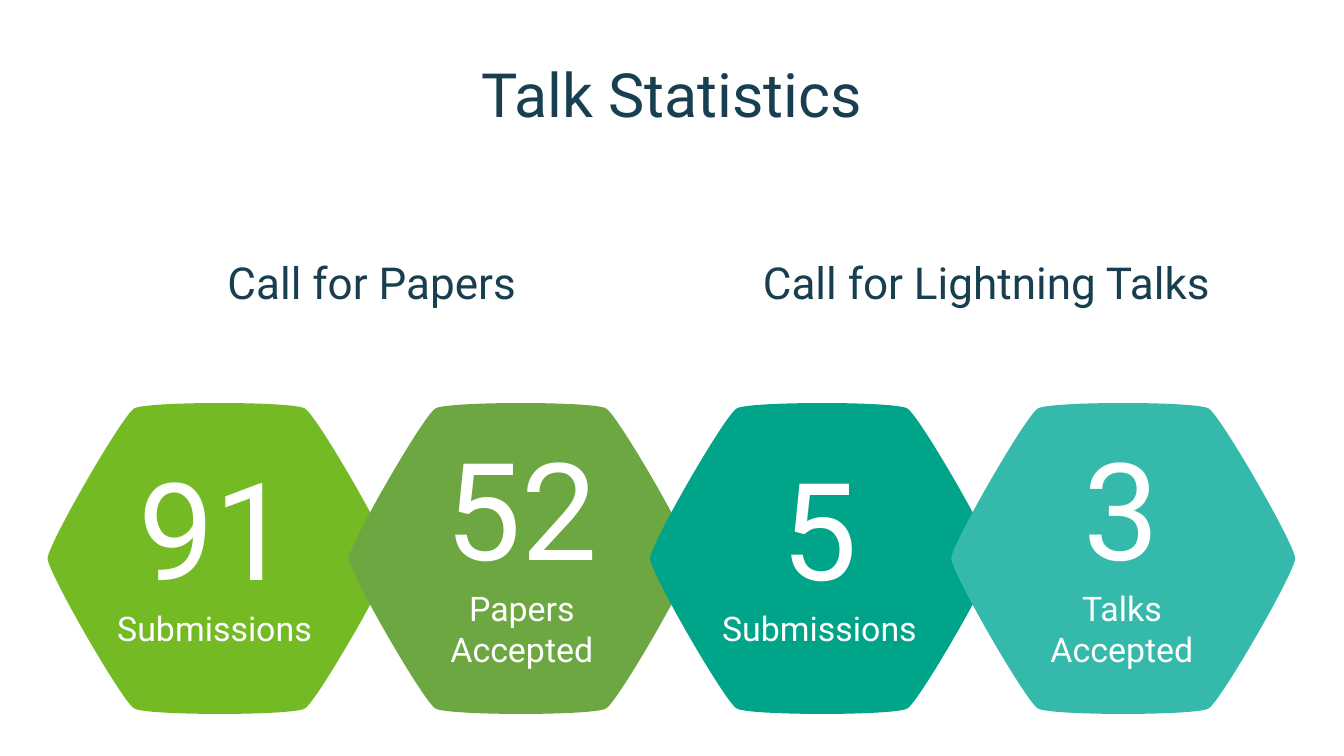
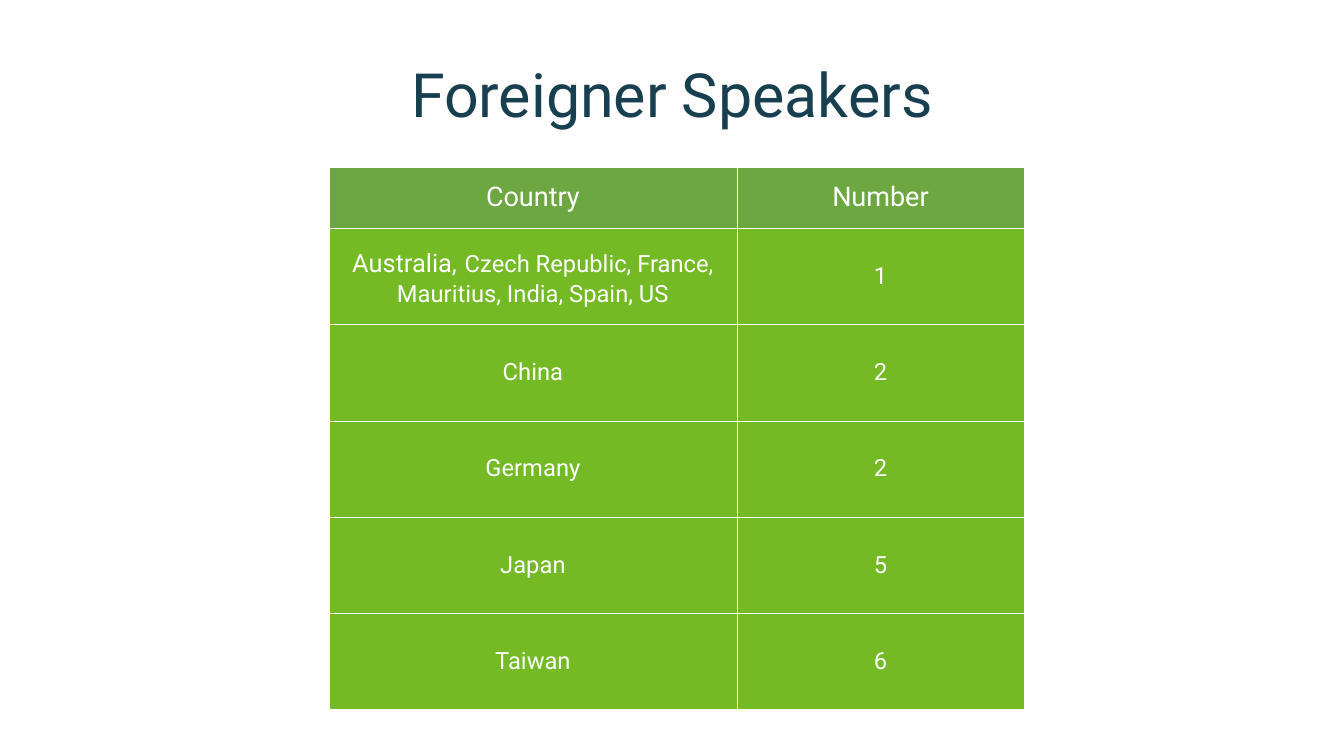
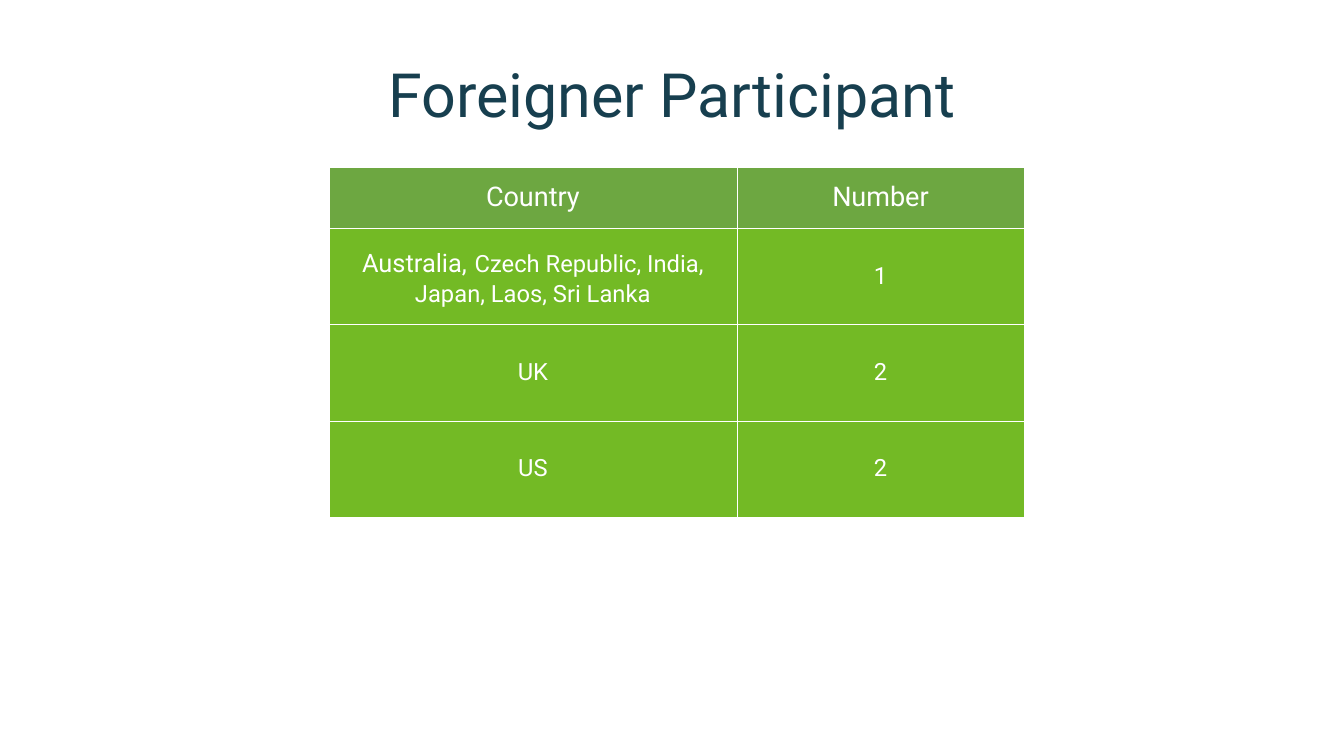
from lxml import etree
from pptx import Presentation
from pptx import util as u
from pptx.dml.color import RGBColor
from pptx.enum import text
from pptx.oxml import ns

WIDTH, HEIGHT = 11.02, 6.2
FONT = "Roboto"
NAVY = RGBColor(0x17, 0x3F, 0x4F)
WHITE = RGBColor(0xFF, 0xFF, 0xFF)
LIME = RGBColor(0x73, 0xBA, 0x25)
GREEN = RGBColor(0x6D, 0xA7, 0x41)
TEAL = RGBColor(0x00, 0xA4, 0x89)
AQUA = RGBColor(0x35, 0xB9, 0xAB)

HEXAGON_CENTER, HEXAGON_STEP, HEXAGON_MIDDLE = 1.8, 2.47, 4.58
CAPTION_WIDTH, CAPTION_HEIGHT, CAPTION_TOP = 1.6, 2.27, 3.35
LOWER_CURVES = [
    (1.41, 0.11), (0.8, 1.17), (0.7, 1.23),
    (0.61, 1.29), (-0.61, 1.29), (-0.7, 1.23),
    (-0.8, 1.17), (-1.41, 0.11), (-1.41, 0),
]

TABLE_LEFT, TABLE_TOP = 2.7, 1.37
COLUMN_WIDTHS = (3.34, 2.36)
HEADER_HEIGHT, ROW_HEIGHT = 0.5, 0.79
BORDER_WIDTH = u.Pt(0.06)


def style(para, size, color):
    para.alignment = text.PP_ALIGN.CENTER
    para.font.name = FONT
    para.font.size = u.Pt(size)
    para.font.color.rgb = color


def add_text(page, left, top, width, height, lines, color):
    box = page.shapes.add_textbox(*map(u.Inches, (left, top, width, height)))
    frame = box.text_frame
    frame.word_wrap = True
    frame.vertical_anchor = text.MSO_ANCHOR.MIDDLE
    frame.margin_left = frame.margin_right = 0
    frame.margin_top = frame.margin_bottom = 0
    for index, (words, size) in enumerate(lines):
        para = frame.add_paragraph() if index else frame.paragraphs[0]
        para.add_run().text = words
        style(para, size, color)


def add_page(deck, title):
    page = deck.slides.add_slide(deck.slide_layouts[6])
    add_text(page, WIDTH * 0.05, 0.25, WIDTH * 0.9, 1.03, [(title, 36)], NAVY)
    return page


def bend_lines(shape):
    lines = list(shape.element.iter(ns.qn("a:lnTo")))
    for first in range(0, len(lines), 3):
        curve = etree.Element(ns.qn("a:cubicBezTo"))
        lines[first].addprevious(curve)
        for line in lines[first:first + 3]:
            curve.append(line[0])
            line.getparent().remove(line)


def add_hexagon(page, center, color):
    outline = LOWER_CURVES + [(-x, -y) for x, y in LOWER_CURVES]
    points = [(u.Inches(center + x), u.Inches(HEXAGON_MIDDLE + y)) for x, y in outline]
    builder = page.shapes.build_freeform(*points[-1])
    builder.add_line_segments(points, close=True)
    hexagon = builder.convert_to_shape()
    bend_lines(hexagon)
    hexagon.shadow.inherit = False
    hexagon.fill.solid()
    hexagon.fill.fore_color.rgb = color
    hexagon.line.fill.background()


def add_statistics(page, statistics):
    for index, (number, label, color, left) in enumerate(statistics):
        add_hexagon(page, HEXAGON_CENTER + index * HEXAGON_STEP, color)
    for number, label, color, left in statistics:
        add_text(page, left, CAPTION_TOP, CAPTION_WIDTH, CAPTION_HEIGHT,
                 [(number, 80), (label, 20)], WHITE)


def add_borders(cell):
    properties = cell._tc.get_or_add_tcPr()
    for side in ("a:lnL", "a:lnR", "a:lnT", "a:lnB"):
        line = etree.SubElement(properties, ns.qn(side), w=str(BORDER_WIDTH))
        fill = etree.SubElement(line, ns.qn("a:solidFill"))
        etree.SubElement(fill, ns.qn("a:srgbClr"), val=str(WHITE))


def fill_cell(cell, spans, size, color):
    add_borders(cell)
    cell.fill.solid()
    cell.fill.fore_color.rgb = color
    cell.vertical_anchor = text.MSO_ANCHOR.MIDDLE
    para = cell.text_frame.paragraphs[0]
    for words, span_size in spans:
        span = para.add_run()
        span.text = words
        if span_size != size:
            span.font.size = u.Pt(span_size)
    style(para, size, WHITE)


def add_country_table(page, single_countries, counts):
    first = [("Australia,", 15), (" ", 18), (single_countries, 14)]
    body = [(first, "1")] + [([(country, 14)], number) for country, number in counts]
    height = HEADER_HEIGHT + ROW_HEIGHT * len(body)
    table = page.shapes.add_table(
        len(body) + 1, len(COLUMN_WIDTHS),
        *map(u.Inches, (TABLE_LEFT, TABLE_TOP, sum(COLUMN_WIDTHS), height))).table
    table.first_row = table.horz_banding = False
    for column, width in zip(table.columns, COLUMN_WIDTHS):
        column.width = u.Inches(width)
    for index, row in enumerate(table.rows):
        row.height = u.Inches(ROW_HEIGHT if index else HEADER_HEIGHT)
    for column, heading in enumerate(("Country", "Number")):
        fill_cell(table.cell(0, column), [(heading, 16)], 16, GREEN)
    for index, (spans, number) in enumerate(body, 1):
        fill_cell(table.cell(index, 0), spans, 14, LIME)
        fill_cell(table.cell(index, 1), [(number, 14)], 14, LIME)


def main():
    deck = Presentation()
    deck.slide_width = u.Inches(WIDTH)
    deck.slide_height = u.Inches(HEIGHT)

    page = add_page(deck, "Talk Statistics")
    for left, heading in ((1.1, "Call for Papers"), (6.14, "Call for Lightning Talks")):
        add_text(page, left, 1.6, 3.9, 1.43, [(heading, 26)], NAVY)
    add_statistics(page, [
        ("91", "Submissions", LIME, 0.96),
        ("52", "Papers Accepted", GREEN, 3.48),
        ("5", "Submissions", TEAL, 5.92),
        ("3", "Talks Accepted", AQUA, 8.4),
    ])

    page = add_page(deck, "Foreigner Speakers")
    add_country_table(page, "Czech Republic, France, Mauritius, India, Spain, US",
                      [("China", "2"), ("Germany", "2"), ("Japan", "5"), ("Taiwan", "6")])

    page = add_page(deck, "Foreigner Participant")
    add_country_table(page, "Czech Republic, India, Japan, Laos, Sri Lanka",
                      [("UK", "2"), ("US", "2")])

    deck.save("out.pptx")


if __name__ == "__main__":
    main()
